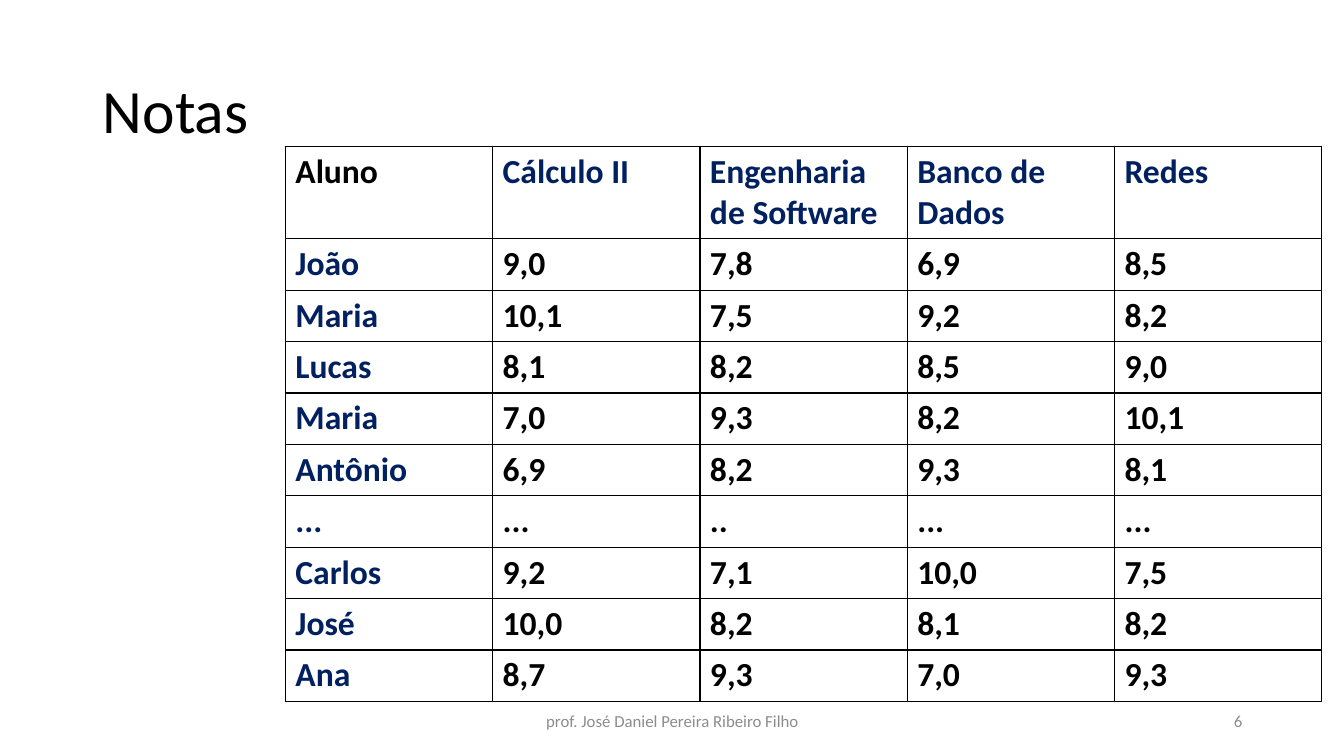
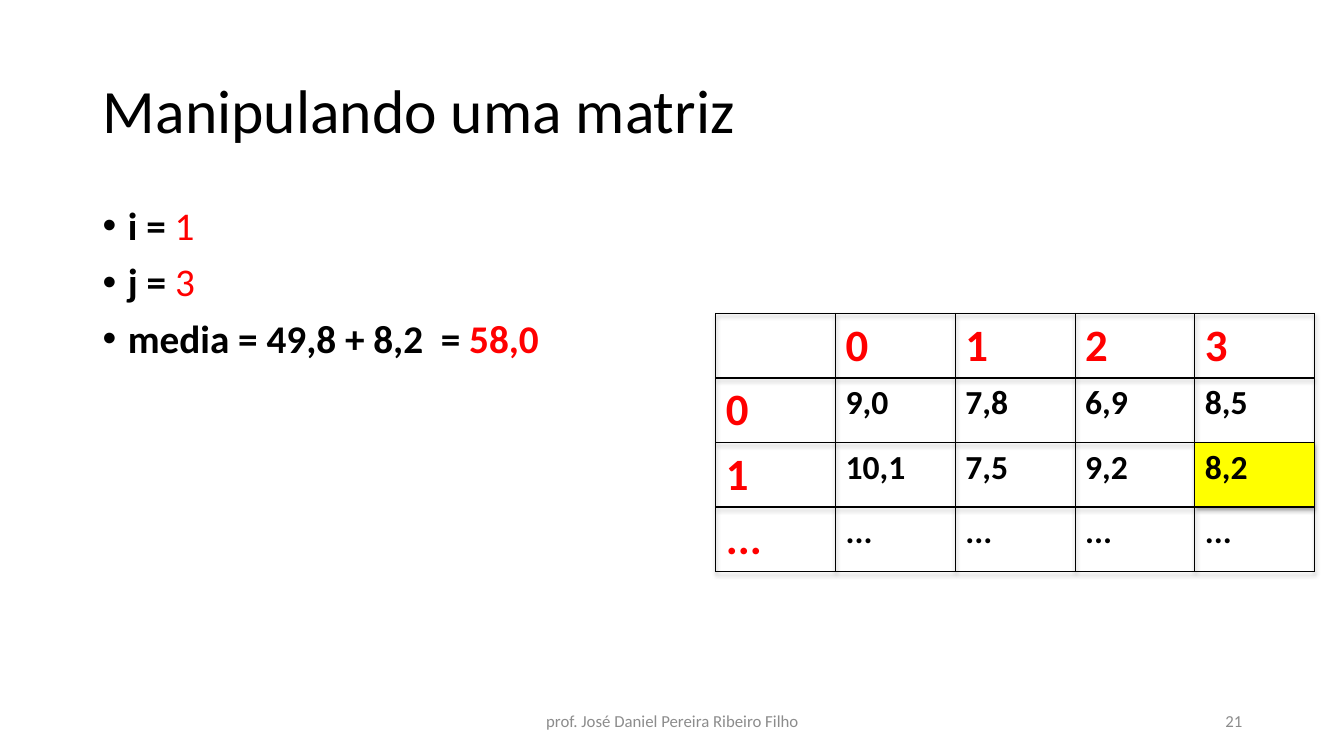
from dataclasses import dataclass

from lxml.etree import SubElement as Sub
from pptx import Presentation as Deck
from pptx.dml.color import RGBColor as Rgb
from pptx.enum.text import MSO_ANCHOR as Anchor, PP_ALIGN as Align
from pptx.oxml import parse_xml as to_xml
from pptx.oxml.ns import nsdecls, qn
from pptx.util import Inches, Pt


@dataclass(frozen=True)
class Theme:
    font: str = "Calibri"
    black: str = "000000"
    navy: str = "002060"
    red: str = "FF0000"
    gray: str = "8C8C8C"
    yellow: str = "FFFF00"
    title: int = 44
    body: int = 28
    index: int = 32
    cell: int = 24
    foot: int = 12
    rule: int = 1


THEME = Theme()
PLAIN = "{2D5ABB26-0587-4C30-8999-92F81FD0307C}"
SHADOW = (
    f'<a:effectLst {nsdecls("a")}><a:outerShdw blurRad="40000" dist="23000" '
    'dir="5400000" rotWithShape="0"><a:srgbClr val="000000">'
    '<a:alpha val="35000"/></a:srgbClr></a:outerShdw></a:effectLst>'
)


def apply(item, form):
    for name, value in form.items():
        setattr(item, name, value)


class Maker:
    """Hold the theme and the current slide, and add styled elements to it."""

    def __init__(self, deck, theme):
        self.deck, self.theme, self.slide = deck, theme, None

    def start(self, title, number):
        self.slide = self.deck.slides.add_slide(self.deck.slide_layouts[5])
        head = self.slide.shapes.title
        box = zip(("left", "top", "width", "height"), (0.92, 0.4, 11.5, 1.45))
        apply(head, {name: Inches(size) for name, size in box})
        head.text_frame.vertical_anchor = Anchor.MIDDLE
        para = head.text_frame.paragraphs[0]
        apply(para, {"alignment": Align.LEFT, "line_spacing": 0.9})
        self.label(para, title, self.theme.title, self.theme.black)
        self.footer("prof. José Daniel Pereira Ribeiro Filho", 4.42, 4.5, Align.CENTER)
        self.footer(str(number), 9.42, 3, Align.RIGHT)

    def label(self, para, text, size, color, bold=False):
        run = para.add_run()
        run.text = text
        apply(run.font, {"name": self.theme.font, "size": Pt(size), "bold": bold})
        run.font.color.rgb = Rgb.from_string(color)

    def frame(self, *box):
        frame = self.slide.shapes.add_textbox(*map(Inches, box)).text_frame
        frame.word_wrap = True
        return frame

    def footer(self, text, left, width, align):
        frame = self.frame(left, 6.95, width, 0.4)
        frame.vertical_anchor = Anchor.MIDDLE
        para = frame.paragraphs[0]
        para.alignment = align
        self.label(para, text, self.theme.foot, self.theme.gray)

    def bullets(self, lines, *box):
        frame = self.frame(*box)
        for at, runs in enumerate(lines):
            para = frame.add_paragraph() if at else frame.paragraphs[0]
            apply(para, {"line_spacing": 0.9, "space_before": Pt(10)})
            props = para._p.get_or_add_pPr()
            props.set("marL", str(Inches(0.25)))
            props.set("indent", str(Inches(-0.25)))
            Sub(props, qn("a:buFont"), typeface="Arial")
            Sub(props, qn("a:buChar"), char="•")
            for text, color, bold in runs:
                self.label(para, text, self.theme.body, color, bold)

    def border(self, cell):
        props = cell._tc.get_or_add_tcPr()
        for at, side in enumerate("LRTB"):
            line = to_xml(
                f'<a:ln{side} {nsdecls("a")} w="{Pt(self.theme.rule)}"><a:solidFill>'
                f'<a:srgbClr val="{self.theme.black}"/></a:solidFill></a:ln{side}>'
            )
            props.insert(at, line)

    def table(self, rows, box, highs, style, marks=(), shadow=False):
        shape = self.slide.shapes.add_table(len(rows), len(rows[0]), *map(Inches, box))
        table = shape.table
        apply(table, {"first_row": False, "horz_banding": False})
        props = table._tbl.tblPr
        props.find(qn("a:tableStyleId")).text = PLAIN
        if shadow:
            props.insert(0, to_xml(SHADOW))
        for col in table.columns:
            col.width = Inches(box[2] / len(rows[0]))
        for i, texts in enumerate(rows):
            table.rows[i].height = Inches(highs[i])
            for j, text in enumerate(texts):
                cell = table.cell(i, j)
                if (i, j) in marks:
                    cell.fill.solid()
                    cell.fill.fore_color.rgb = Rgb.from_string(self.theme.yellow)
                else:
                    cell.fill.background()
                self.border(cell)
                if text:
                    para = cell.text_frame.paragraphs[0]
                    self.label(para, text, *style(i, j), bold=True)


def grade_style(i, j):
    head = (i == 0) != (j == 0)
    return THEME.cell, THEME.navy if head else THEME.black


def matrix_style(i, j):
    if i == 0 or j == 0:
        return THEME.index, THEME.red
    return THEME.cell, THEME.black


GRADES = [
    ["Aluno", "Cálculo II", "Engenharia de Software", "Banco de Dados", "Redes"],
    ["João", "9,0", "7,8", "6,9", "8,5"],
    ["Maria", "10,1", "7,5", "9,2", "8,2"],
    ["Lucas", "8,1", "8,2", "8,5", "9,0"],
    ["Maria", "7,0", "9,3", "8,2", "10,1"],
    ["Antônio", "6,9", "8,2", "9,3", "8,1"],
    ["...", "...", "..", "...", "..."],
    ["Carlos", "9,2", "7,1", "10,0", "7,5"],
    ["José", "10,0", "8,2", "8,1", "8,2"],
    ["Ana", "8,7", "9,3", "7,0", "9,3"],
]
MATRIX = [["", "0", "1", "2", "3"]]
MATRIX += [[name] + row[1:] for name, row in zip("01", GRADES[1:3])]
MATRIX.append(["..."] * 5)
STEPS = [
    [("i = ", THEME.black, True), ("1", THEME.red, False)],
    [("j = ", THEME.black, True), ("3", THEME.red, False)],
    [("media = 49,8 + 8,2  = ", THEME.black, True), ("58,0", THEME.red, True)],
]

deck = Deck()
apply(deck, {"slide_width": Inches(13.33), "slide_height": Inches(7.5)})
maker = Maker(deck, THEME)

maker.start("Notas", 6)
maker.table(GRADES, (2.83, 1.45, 10.28, 5.49), [0.92] + [0.51] * 9, grade_style)

maker.start("Manipulando uma matriz", 21)
maker.bullets(STEPS, 0.92, 2, 11.5, 4.76)
maker.table(MATRIX, (7.1, 3.11, 5.94, 2.56), [0.64] * 4, matrix_style, {(2, 4)}, True)

deck.save("out.pptx")
